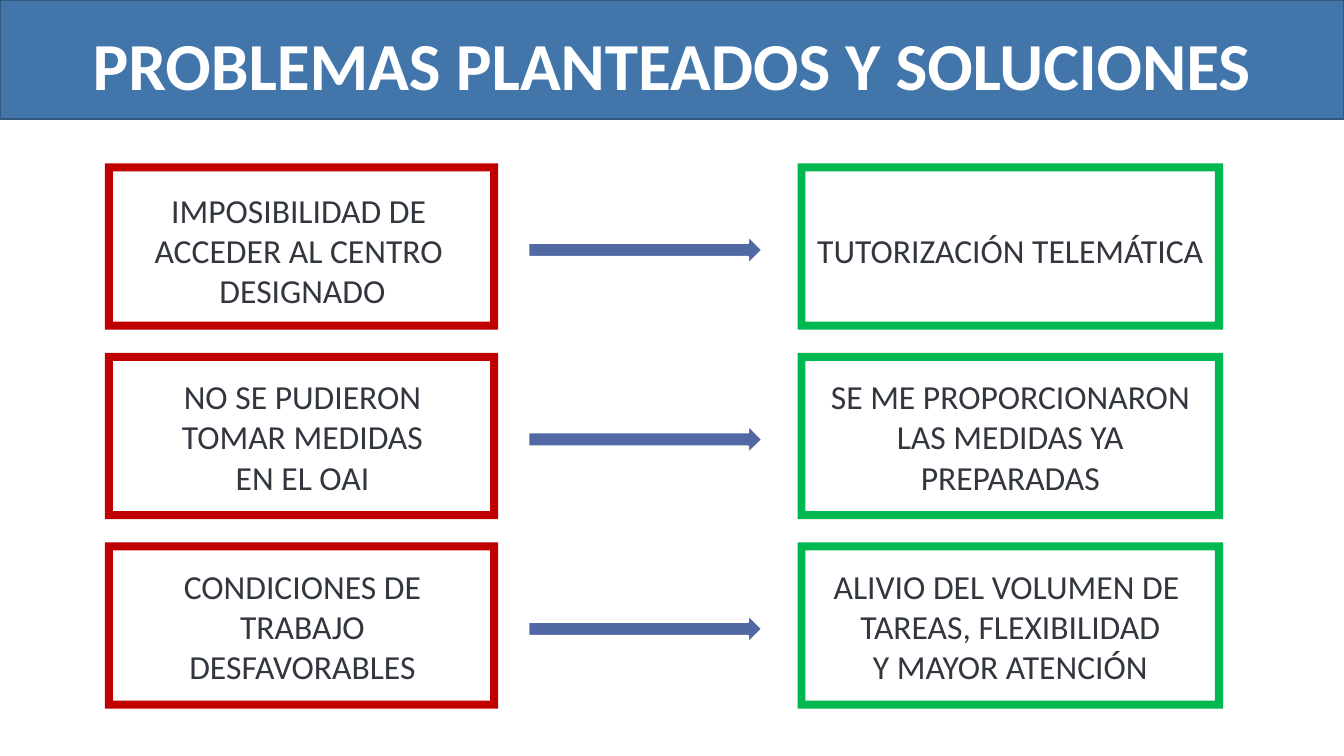
from pptx import Presentation
from pptx.dml.color import RGBColor
from pptx.enum.shapes import MSO_SHAPE
from pptx.enum.text import MSO_ANCHOR, PP_ALIGN
from pptx.util import Inches, Pt

RECTANGLE = MSO_SHAPE.RECTANGLE
FRAME = MSO_SHAPE.FRAME
RIGHT_ARROW = MSO_SHAPE.RIGHT_ARROW
CENTER = PP_ALIGN.CENTER
MIDDLE = MSO_ANCHOR.MIDDLE

TITLE = "PROBLEMAS PLANTEADOS Y SOLUCIONES"
# One row each: text centre height, then (text width, lines) of problem and solution
ROWS = [
    (2.48,
     (3.16, ["IMPOSIBILIDAD DE ", "ACCEDER AL CENTRO ", "DESIGNADO"]),
     (4.07, ["TUTORIZACIÓN TELEMÁTICA"])),
    (4.33,
     (2.61, ["NO SE PUDIERON", "TOMAR MEDIDAS", "EN EL OAI"]),
     (3.79, ["SE ME PROPORCIONARON", "LAS MEDIDAS YA", "PREPARADAS"])),
    (6.21,
     (2.57, ["CONDICIONES DE", "TRABAJO", "DESFAVORABLES"]),
     (3.74, ["ALIVIO DEL VOLUMEN DE ", "TAREAS, FLEXIBILIDAD", "Y MAYOR ATENCIÓN"])),
]
# Frame left, frame width, text centre, frame colour
COLUMNS = [(1.04, 3.9, 3.0, "C00000"), (7.91, 4.22, 10.02, "01B74F")]

SLIDE_WIDTH, SLIDE_HEIGHT = 13.33, 7.5
FIRST_TOP, ROW_STEP, FRAME_HEIGHT = 1.62, 1.88, 1.65
FRAME_THICKNESS = 0.048
ARROW_LEFT, ARROW_WIDTH, ARROW_HEIGHT, ARROW_OFFSET = 5.24, 2.32, 0.28, 0.72
LINE_HEIGHT, TEXT_MARGINS = 0.405, 0.1
FONT = "Calibri"


def color(value):
    return RGBColor.from_string(value)


def add_shape(kind, left, top, width, height, fill, line=None, line_width=1):
    shape = slide.shapes.add_shape(
        kind, Inches(left), Inches(top), Inches(width), Inches(height))
    shape.shadow.inherit = False
    shape.fill.solid()
    shape.fill.fore_color.rgb = color(fill)
    if line:
        shape.line.color.rgb = color(line)
        shape.line.width = Pt(line_width)
    else:
        shape.line.fill.background()
    return shape


def add_text(lines, center_x, center_y, width, height, size, fill,
             bold=False, wrap=False):
    """Add centred lines, one paragraph each, around a centre point."""
    box = slide.shapes.add_textbox(
        Inches(center_x - width / 2), Inches(center_y - height / 2),
        Inches(width), Inches(height))
    frame = box.text_frame
    frame.word_wrap = wrap
    frame.vertical_anchor = MIDDLE
    for index, line in enumerate(lines):
        paragraph = frame.add_paragraph() if index else frame.paragraphs[0]
        paragraph.alignment = CENTER
        run = paragraph.add_run()
        run.text = line
        run.font.name = FONT
        run.font.size = Pt(size)
        run.font.bold = bold
        run.font.color.rgb = color(fill)
    return frame


presentation = Presentation()
presentation.slide_width = Inches(SLIDE_WIDTH)
presentation.slide_height = Inches(SLIDE_HEIGHT)
slide = presentation.slides.add_slide(presentation.slide_layouts[6])

add_shape(RECTANGLE, 0, 0, SLIDE_WIDTH, 1.18, "4276AA", "31577E")
title = add_text([TITLE], SLIDE_WIDTH / 2, 0.68, SLIDE_WIDTH, 2.39, 48,
                 "FFFFFF", bold=True, wrap=True)
title.paragraphs[0].line_spacing = 0.9
title.paragraphs[0].space_after = Pt(6)

for row, (text_y, *cells) in enumerate(ROWS):
    top = FIRST_TOP + row * ROW_STEP
    add_shape(RIGHT_ARROW, ARROW_LEFT, top + ARROW_OFFSET, ARROW_WIDTH,
              ARROW_HEIGHT, "5268A5", "FFFFFF", 1.5)
    for (left, width, text_x, fill), (text_width, lines) in zip(COLUMNS, cells):
        border = add_shape(FRAME, left, top, width, FRAME_HEIGHT, fill)
        border.adjustments[0] = FRAME_THICKNESS
        text_height = len(lines) * LINE_HEIGHT + TEXT_MARGINS
        add_text(lines, text_x, text_y, text_width, text_height, 24, "32363F")

presentation.save("out.pptx")
